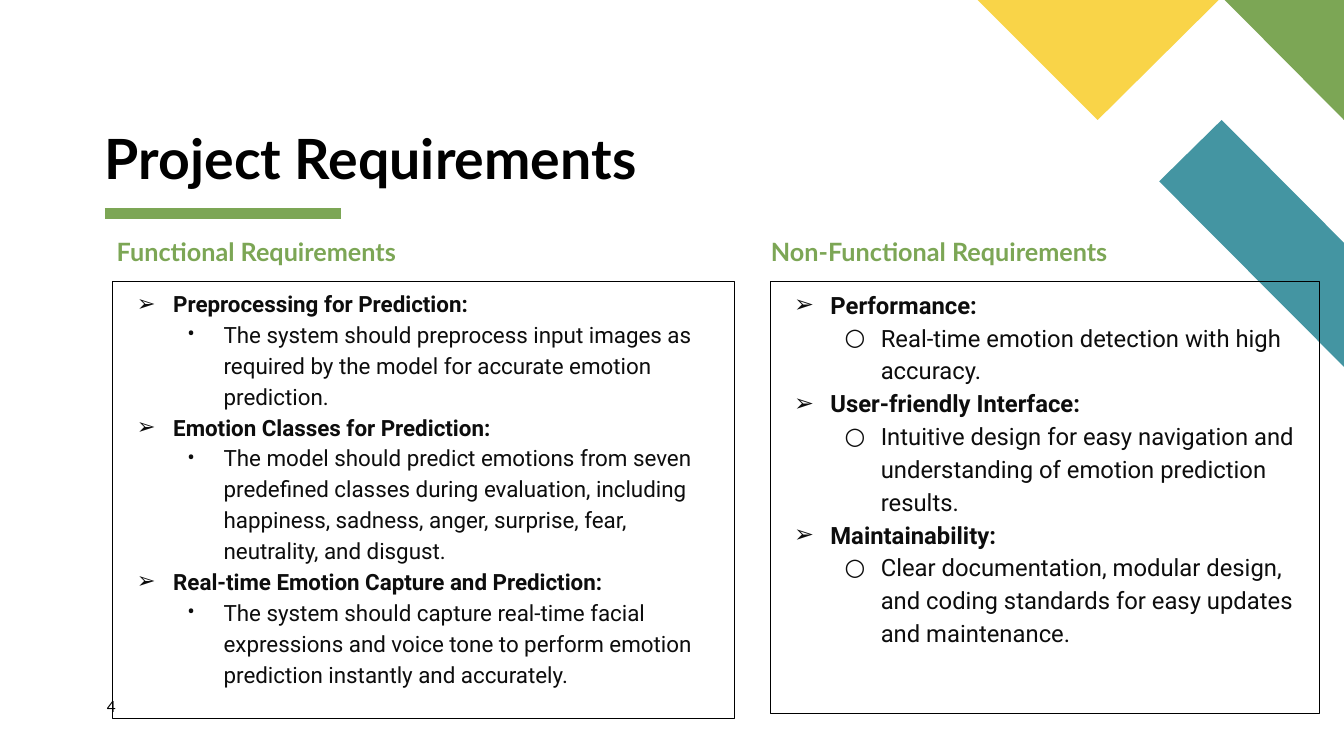
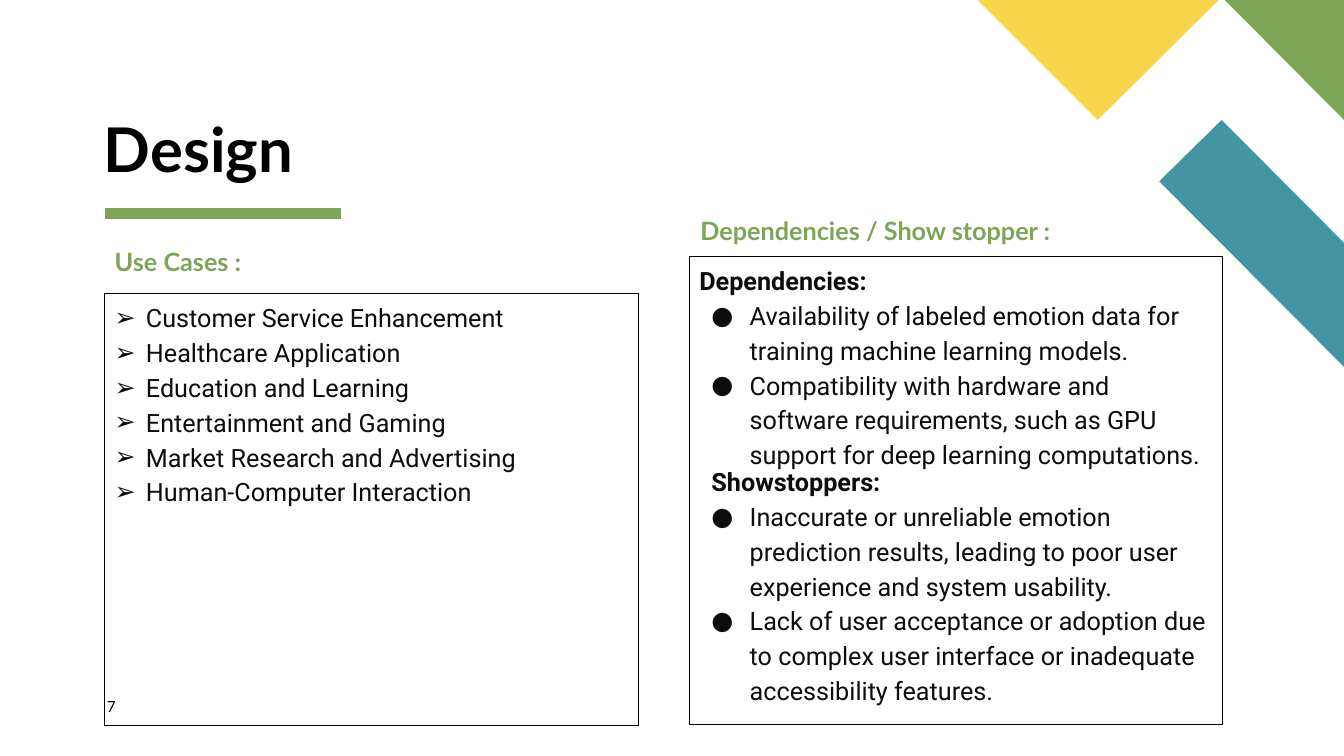
"""Build the requirements and design slides of the emotion detection deck."""
from lxml.etree import SubElement
from pptx import Presentation
from pptx.dml.color import RGBColor
from pptx.enum.shapes import MSO_CONNECTOR, MSO_SHAPE
from pptx.enum.text import MSO_ANCHOR, PP_ALIGN
from pptx.oxml.ns import qn
from pptx.util import Inches, Pt

WIDTH, HEIGHT = Inches(13.333), Inches(7.5)
COLORS = {"green": "7CA655", "teal": "4495A2", "yellow": "F9D448",
          "black": "000000", "ink": "0D0D0D"}

CORNER = [
    ("teal", [(100, 48.53), (100, 32.13), (90.9, 15.87), (86.25, 24)]),
    ("green", [(100, 15.87), (100, 0), (91.13, 0)]),
    ("yellow", [(72.75, 0), (81.68, 15.87), (90.68, 0)]),
]
UNDERLINE = [(7.8, 28.27), (25.35, 28.27)]
NUMBER_FRAME = (7.95, 92.27, 4.28, 3.6)
HEADING_SIZE = (42.15, 4.67)

STYLES = {
    "topic": dict(bold=True, indent=0.5, hang=0.36, bullet="➢"),
    "dot": dict(indent=1, hang=0.36, bullet="•"),
    "ring": dict(indent=1, hang=0.36, bullet="○"),
    "case": dict(indent=0.31, hang=0.31, bullet="➢"),
    "label": dict(bold=True),
    "inset label": dict(bold=True, indent=0.12, spacing=0.9),
    "point": dict(indent=0.5, hang=0.38, bullet="●"),
}

SLIDES = [
    dict(title="Project Requirements", title_size=39.6,
         title_frame=(7.8, 19.07, 47.4, 6.27), number="4", panels=[
             dict(heading="Functional Requirements", heading_at=(7.95, 31.07),
                  frame=(8.4, 37.2, 46.28, 57.87), size=16, lines=[
                      ("topic", "Preprocessing for Prediction:"),
                      ("dot", "The system should preprocess input images as required by the "
                              "model for accurate emotion prediction."),
                      ("topic", "Emotion Classes for Prediction:"),
                      ("dot", "The model should predict emotions from seven predefined classes "
                              "during evaluation, including happiness, sadness, anger, "
                              "surprise, fear, neutrality, and disgust."),
                      ("topic", "Real-time Emotion Capture and Prediction:"),
                      ("dot", "The system should capture real-time facial expressions and "
                              "voice tone to perform emotion prediction instantly and "
                              "accurately."),
                  ]),
             dict(heading="Non-Functional Requirements", heading_at=(56.63, 31.07),
                  frame=(57.3, 37.2, 40.88, 57.2), size=17, lines=[
                      ("topic", "Performance:"),
                      ("ring", "Real-time emotion detection with high accuracy."),
                      ("topic", "User-friendly Interface:"),
                      ("ring", "Intuitive design for easy navigation and understanding of "
                               "emotion prediction results."),
                      ("topic", "Maintainability:"),
                      ("ring", "Clear documentation, modular design, and coding standards for "
                               "easy updates and maintenance."),
                  ]),
         ]),
    dict(title="Design", title_size=44,
         title_frame=(7.73, 15.6, 47.4, 8.93), number="7", panels=[
             dict(heading="Use Cases :", heading_at=(7.8, 32.4),
                  frame=(7.8, 38.8, 39.68, 57.2), size=18, lines=[
                      ("case", "Customer Service Enhancement"),
                      ("case", "Healthcare Application"),
                      ("case", "Education and Learning"),
                      ("case", "Entertainment and Gaming"),
                      ("case", "Market Research and Advertising"),
                      ("case", "Human-Computer Interaction"),
                  ]),
             dict(heading="Dependencies / Show stopper :", heading_at=(51.38, 28.27),
                  frame=(51.3, 33.87, 39.68, 62), size=18, lines=[
                      ("label", "Dependencies:"),
                      ("point", "Availability of labeled emotion data for training machine "
                                "learning models."),
                      ("point", "Compatibility with hardware and software requirements, such "
                                "as GPU support for deep learning computations."),
                      ("inset label", "Showstoppers:"),
                      ("point", "Inaccurate or unreliable emotion prediction results, leading "
                                "to poor user experience and system usability."),
                      ("point", "Lack of user acceptance or adoption due to complex user "
                                "interface or inadequate accessibility features."),
                  ]),
         ]),
]


def rgb(name):
    """Return a palette colour."""
    return RGBColor.from_string(COLORS[name])


def place(shares):
    """Turn alternating width and height percentages into lengths."""
    return [int((HEIGHT if i % 2 else WIDTH) * share / 100) for i, share in enumerate(shares)]


def write(shape, text, *, size, font="Lato", color="black", bold=False,
          indent=0, hang=0, bullet=None, spacing=1.0):
    """Add one formatted paragraph to a shape."""
    frame = shape.text_frame
    paragraph = frame.paragraphs[-1] if not frame.text else frame.add_paragraph()
    paragraph.alignment = PP_ALIGN.LEFT
    paragraph.line_spacing = spacing
    properties = paragraph._p.get_or_add_pPr()
    properties.set("marL", str(Inches(indent)))
    properties.set("indent", str(-Inches(hang)))
    if bullet:
        tint = SubElement(properties, qn("a:buClr"))
        SubElement(tint, qn("a:srgbClr")).set("val", COLORS[color])
        SubElement(properties, qn("a:buFont")).set("typeface", font)
        SubElement(properties, qn("a:buChar")).set("char", bullet)
    run = paragraph.add_run()
    run.text = text
    run.font.size, run.font.name, run.font.bold = Pt(size), font, bold
    run.font.color.rgb = rgb(color)


def add_label(slide, shares, text, *, margins=True, anchor=MSO_ANCHOR.TOP, **style):
    """Add a text box that holds one paragraph."""
    label = slide.shapes.add_textbox(*place(shares))
    frame = label.text_frame
    frame.word_wrap, frame.vertical_anchor = True, anchor
    if not margins:
        frame.margin_left = frame.margin_top = frame.margin_right = frame.margin_bottom = 0
    write(label, text, **style)


def add_decoration(slide):
    """Draw the title underline and the corner pieces."""
    start, end = UNDERLINE
    underline = slide.shapes.add_connector(MSO_CONNECTOR.STRAIGHT, *place(start + end))
    underline.line.color.rgb, underline.line.width = rgb("green"), Pt(8)
    SubElement(underline._element.spPr, qn("a:effectLst"))
    for color, corners in CORNER:
        first, *rest = [place(corner) for corner in corners]
        builder = slide.shapes.build_freeform(*first)
        builder.add_line_segments(rest, close=True)
        piece = builder.convert_to_shape()
        piece.shadow.inherit = False
        piece.fill.solid()
        piece.fill.fore_color.rgb = rgb(color)
        piece.line.fill.background()


def add_panel(slide, content):
    """Draw a heading and the outlined box of text that belongs to it."""
    add_label(slide, content["heading_at"] + HEADING_SIZE, content["heading"],
              size=18, color="green", bold=True, indent=0.25, hang=0.25, spacing=0.9)
    panel = slide.shapes.add_shape(MSO_SHAPE.RECTANGLE, *place(content["frame"]))
    panel.shadow.inherit = False
    panel.fill.background()
    panel.line.color.rgb, panel.line.width = rgb("black"), Pt(0.75)
    panel.text_frame.word_wrap = True
    panel.text_frame.vertical_anchor = MSO_ANCHOR.TOP
    for style, text in content["lines"]:
        write(panel, text, **{"size": content["size"], "font": "Roboto", "color": "ink",
                              "spacing": 1.15, **STYLES[style]})


def main():
    """Build and save the deck."""
    deck = Presentation()
    deck.slide_width, deck.slide_height = WIDTH, HEIGHT
    for content in SLIDES:
        slide = deck.slides.add_slide(deck.slide_layouts[6])
        add_decoration(slide)
        add_label(slide, content["title_frame"], content["title"], margins=False,
                  anchor=MSO_ANCHOR.BOTTOM, size=content["title_size"], bold=True, spacing=0.9)
        for panel in content["panels"]:
            add_panel(slide, panel)
        add_label(slide, NUMBER_FRAME, content["number"], margins=False, size=11)
    deck.save("out.pptx")


if __name__ == "__main__":
    main()
